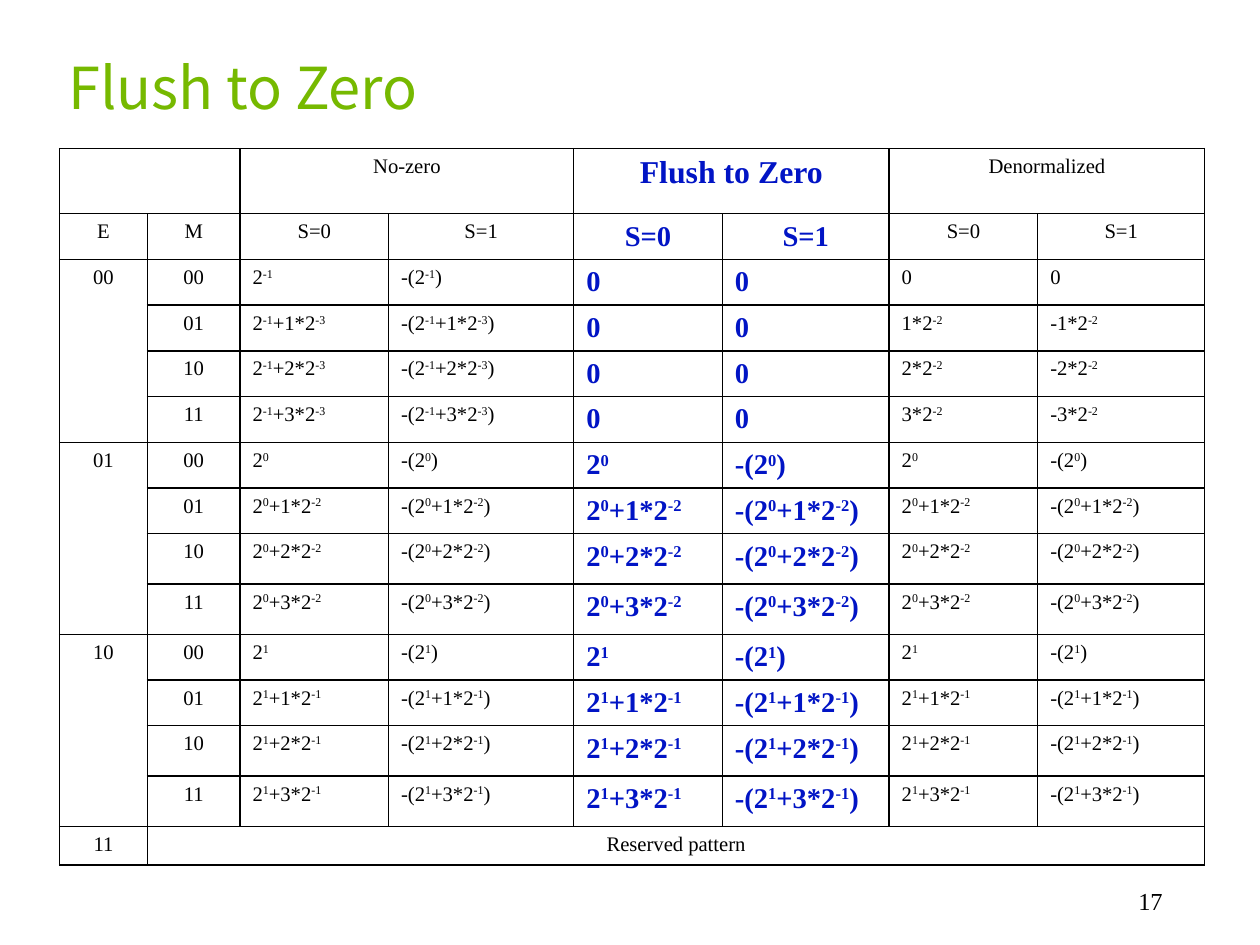
from dataclasses import dataclass

from lxml import etree
from pptx import Presentation, util as u
from pptx.dml import color
from pptx.enum import text
from pptx.oxml import ns


@dataclass(frozen=True)
class Theme:
    title_font: str = "Noto Sans CJK SC"
    body_font: str = "Times New Roman"
    green: str = "76B900"
    blue: str = "0114C5"
    black: str = "000000"
    title_size: float = 36.4
    heading_size: float = 20
    focus_size: float = 18
    body_size: float = 13
    number_size: float = 15.4
    border: float = 1


T = Theme()
CENTER, LEFT, RIGHT = text.PP_ALIGN.CENTER, text.PP_ALIGN.LEFT, text.PP_ALIGN.RIGHT

# The page is 28 by 21 centimetres
CM_PER_INCH = 2.54
PAGE_WIDTH, PAGE_HEIGHT = 28 / CM_PER_INCH, 21 / CM_PER_INCH

COLUMNS = [0.77, 0.81, 1.3, 1.62, 1.3, 1.46, 1.3, 1.46]
ROWS = [0.57] + [0.4] * 7 + [0.44] * 2 + [0.4] * 2 + [0.44] * 2 + [0.34]
SCHEMES = ["No-zero", "Flush to Zero", "Denormalized"]
FOCUS_COLUMNS = (4, 5)
MANTISSAS = ["00", "01", "10", "11"]
# Exponent bits, power of the leading term, power of the mantissa step
EXPONENTS = [("00", -1, -3), ("01", 0, -2), ("10", 1, -1)]


def add_run(p, words, size, ink, font=T.body_font, bold=False, raised=False):
    r = p.add_run()
    r.text = words
    r.font.name, r.font.size, r.font.bold = font, u.Pt(size), bold
    r.font.color.rgb = color.RGBColor.from_string(ink)
    if raised:
        r._r.get_or_add_rPr().set("baseline", "30000")


def write(cell, marked, align=CENTER, size=T.body_size, ink=T.black, bold=False):
    """Write a cell; text between carets is superscript."""
    p = cell.text_frame.paragraphs[0]
    p.alignment = align
    for i, words in enumerate(marked.split("^")):
        if words:
            add_run(p, words, size, ink, bold=bold, raised=i % 2 == 1)


def frame_cell(cell):
    cell.margin_left = cell.margin_right = u.Inches(0.11)
    cell.margin_top, cell.margin_bottom = u.Inches(0.06), u.Inches(0.04)
    cell.fill.background()
    tc_pr = cell._tc.get_or_add_tcPr()
    for i, side in enumerate(("lnL", "lnR", "lnT", "lnB")):
        ln = etree.Element(ns.qn("a:" + side), w=str(u.Pt(T.border)))
        fill = etree.SubElement(ln, ns.qn("a:solidFill"))
        etree.SubElement(fill, ns.qn("a:srgbClr"), val=T.black)
        tc_pr.insert(i, ln)


def row_values(k, lead, step):
    """Values of the six scheme columns for mantissa k."""
    positive = f"2^{lead}^" + (f"+{k}*2^{step}^" if k else "")
    normal = [positive, f"-({positive})"]
    if lead >= 0:
        return normal * 3
    tiny = [f"{k}*2^-2^", f"-{k}*2^-2^"] if k else ["0", "0"]
    return normal + ["0", "0"] + tiny


def add_text(s, box, words, size, ink, font, align, anchor, spacing=1.0):
    tb = s.shapes.add_textbox(*map(u.Inches, box))
    tf = tb.text_frame
    tf.word_wrap = True
    tf.vertical_anchor = anchor
    p = tf.paragraphs[0]
    p.alignment, p.line_spacing = align, spacing
    add_run(p, words, size, ink, font)


def add_title(s, box):
    add_text(s, box, "Flush to Zero", T.title_size, T.green, T.title_font,
             LEFT, text.MSO_ANCHOR.TOP, 0.9)


def add_page_number(s, box):
    add_text(s, box, "17", T.number_size, T.black, T.body_font,
             RIGHT, text.MSO_ANCHOR.MIDDLE)


def add_number_table(s, left, top):
    table = s.shapes.add_table(
        len(ROWS), len(COLUMNS), u.Inches(left), u.Inches(top),
        u.Inches(sum(COLUMNS)), u.Inches(sum(ROWS))).table
    table.first_row = table.horz_banding = False
    for column, width in zip(table.columns, COLUMNS):
        column.width = u.Inches(width)
    for row, height in zip(table.rows, ROWS):
        row.height = u.Inches(height)
    for cell in table.iter_cells():
        frame_cell(cell)
    focus = dict(size=T.focus_size, ink=T.blue, bold=True)

    # Header rows
    table.cell(0, 0).merge(table.cell(0, 1))
    for i, scheme in enumerate(SCHEMES):
        c = 2 + 2 * i
        table.cell(0, c).merge(table.cell(0, c + 1))
        style = dict(focus, size=T.heading_size) if c in FOCUS_COLUMNS else {}
        write(table.cell(0, c), scheme, **style)
    for c, label in enumerate(["E", "M"] + ["S=0", "S=1"] * 3):
        write(table.cell(1, c), label, **(focus if c in FOCUS_COLUMNS else {}))

    # One block of four mantissas for each exponent
    for block, (bits, lead, step) in enumerate(EXPONENTS):
        first = 2 + block * len(MANTISSAS)
        table.cell(first, 0).merge(table.cell(first + len(MANTISSAS) - 1, 0))
        write(table.cell(first, 0), bits)
        for k, mantissa in enumerate(MANTISSAS):
            write(table.cell(first + k, 1), mantissa)
            for c, value in enumerate(row_values(k, lead, step), start=2):
                style = focus if c in FOCUS_COLUMNS else {}
                write(table.cell(first + k, c), value, LEFT, **style)

    # Reserved row
    last = len(ROWS) - 1
    table.cell(last, 1).merge(table.cell(last, len(COLUMNS) - 1))
    write(table.cell(last, 0), "11")
    write(table.cell(last, 1), "Reserved pattern")


def main():
    prs = Presentation()
    prs.slide_width, prs.slide_height = u.Inches(PAGE_WIDTH), u.Inches(PAGE_HEIGHT)
    s = prs.slides.add_slide(prs.slide_layouts[6])
    add_title(s, (0.5, 0.47, 10.02, 0.67))
    add_number_table(s, 0.52, 1.3)
    add_page_number(s, (7.79, 7.66, 2.48, 0.44))
    prs.save("out.pptx")


if __name__ == "__main__":
    main()
